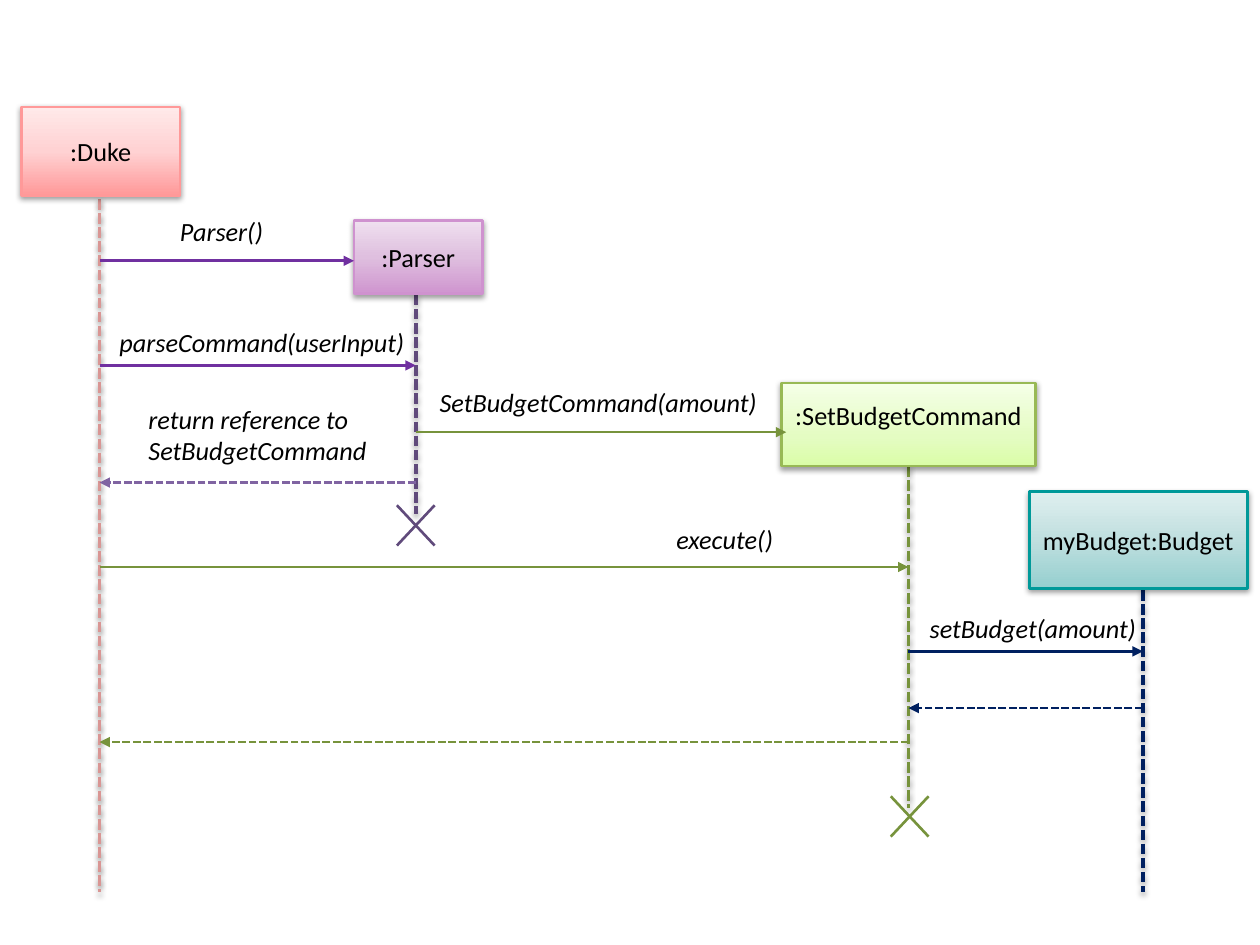
from pptx import Presentation
from pptx.dml.color import RGBColor
from pptx.enum.dml import MSO_LINE
from pptx.enum.shapes import MSO_CONNECTOR, MSO_SHAPE
from pptx.enum.text import MSO_ANCHOR, PP_ALIGN
from pptx.oxml import parse_xml
from pptx.oxml.ns import nsdecls
from pptx.util import Inches, Pt

RECT = MSO_SHAPE.RECTANGLE
LINE = MSO_CONNECTOR.STRAIGHT
DASH = MSO_LINE.SQUARE_DOT
TOP, MID = MSO_ANCHOR.TOP, MSO_ANCHOR.MIDDLE
LEFT, CENTER = PP_ALIGN.LEFT, PP_ALIGN.CENTER

THEME = {
    "font": "Calibri", "size": 15, "thin": 1.5, "thick": 2,
    "text": "000000", "rose": "D99694", "violet": "7030A0",
    "plum": "604A7B", "mauve": "8064A2", "green": "77933C", "navy": "002060",
    "duke": ("FF9999", [(0, "FF9999"), (50, "FFD2D3"), (100, "FFE9E9")]),
    "parser": ("CF92CF", [(0, "CF95CF"), (50, "DFBFDF"), (100, "EFE0EF")]),
    "command": ("98B955", [(0, "DAFDA7"), (35, "E4FCC2"), (100, "F5FFE7")]),
    "budget": ("009999", [(0, "95CFCF"), (50, "BFDFDF"), (100, "E0EFEF")]),
}

ACTORS = [
    ("duke", ":Duke", (0.17, 0.85, 1.26, 0.7), MID, 0.05),
    ("parser", ":Parser", (2.81, 1.75, 1.02, 0.58), MID, 0.05),
    ("command", ":SetBudgetCommand", (6.2, 3.04, 2.02, 0.66), TOP, 0.13),
    ("budget", "myBudget:Budget", (8.17, 3.9, 1.73, 0.77), MID, 0.05),
]
LIVES = {
    "duke": (0.79, 1.58, 7.08, "rose"),
    "parser": (3.3, 2.34, 4.08, "plum"),
    "command": (7.21, 3.7, 6.41, "green"),
    "budget": (9.07, 4.46, 7.08, "navy"),
}
CALLS = [
    ("duke", 2.81, 2.07, "violet"),
    ("duke", "parser", 2.9, "violet"),
    ("parser", 6.24, 3.43, "green"),
    ("duke", "command", 4.5, "green"),
    ("command", "budget", 5.17, "navy"),
]
REPLIES = [
    ("parser", "duke", 3.83, "mauve"),
    ("budget", "command", 5.62, "navy"),
    ("command", "duke", 5.89, "green"),
]
LABELS = [
    ("Parser()", (1.33, 1.66, 1.29, 0.35)),
    ("parseCommand(userInput)", (0.85, 2.54, 2.73, 0.35)),
    ("SetBudgetCommand(amount)", (3.39, 3.02, 2.73, 0.35)),
    ("return reference to SetBudgetCommand", (1.08, 3.15, 1.93, 0.61)),
    ("execute()", (5.27, 4.1, 0.97, 0.35)),
    ("setBudget(amount)", (7.28, 4.81, 1.93, 0.35)),
]
ENDS = [(3.3, 4.17, "plum"), (7.22, 6.48, "green")]
ARM = (0.15, 0.16)

deck = Presentation()
deck.slide_width, deck.slide_height = Inches(10), Inches(7.5)
slide = deck.slides.add_slide(deck.slide_layouts[6])
shapes = slide.shapes


def ink(code):
    return RGBColor.from_string(code)


def shade(shape, on):
    glow = (
        '<a:outerShdw blurRad="40000" dist="20000" dir="5400000" rotWithShape="0">'
        '<a:srgbClr val="000000"><a:alpha val="38000"/></a:srgbClr></a:outerShdw>'
    ) if on else ""
    shape._element.spPr.append(
        parse_xml(f'<a:effectLst {nsdecls("a")}>{glow}</a:effectLst>'))


def fade(shape, stops):
    marks = "".join(
        f'<a:gs pos="{pos * 1000}"><a:srgbClr val="{code}"/></a:gs>'
        for pos, code in stops)
    shape._element.spPr.insert(2, parse_xml(
        f'<a:gradFill {nsdecls("a")} rotWithShape="1"><a:gsLst>{marks}</a:gsLst>'
        '<a:lin ang="16200000" scaled="0"/></a:gradFill>'))


def draw(x1, y1, x2, y2, hue, width="thin", dash=False, head=False, glow=False):
    line = shapes.add_connector(LINE, *map(Inches, (x1, y1, x2, y2)))
    line.line.color.rgb = ink(THEME[hue])
    line.line.width = Pt(THEME[width])
    if dash:
        line.line.dash_style = DASH
    if head:
        line.line._get_or_add_ln().append(
            parse_xml(f'<a:tailEnd {nsdecls("a")} type="triangle"/>'))
    shade(line, glow)


def write(shape, text, align, italic):
    shape.text_frame.text = text
    para = shape.text_frame.paragraphs[0]
    para.alignment = align
    font = para.runs[0].font
    font.name, font.size = THEME["font"], Pt(THEME["size"])
    font.italic = italic
    font.color.rgb = ink(THEME["text"])


def reach(end):
    return LIVES[end][0] if end in LIVES else end


for x, top, low, hue in LIVES.values():
    draw(x, top, x, low, hue, "thick", dash=True, glow=True)

for key, name, spot, anchor, pad in ACTORS:
    edge, stops = THEME[key]
    box = shapes.add_shape(RECT, *map(Inches, spot))
    fade(box, stops)
    box.line.color.rgb = ink(edge)
    box.line.width = Pt(THEME["thin"])
    shade(box, True)
    frame = box.text_frame
    frame.word_wrap = False
    frame.vertical_anchor = anchor
    frame.margin_top = frame.margin_bottom = Inches(pad)
    write(box, name, CENTER, False)

for group, dash in ((CALLS, False), (REPLIES, True)):
    for start, end, y, hue in group:
        draw(reach(start), y, reach(end), y, hue, dash=dash, head=True)

for text, spot in LABELS:
    label = shapes.add_textbox(*map(Inches, spot))
    label.text_frame.word_wrap = True
    write(label, text, LEFT, True)

for x, y, hue in ENDS:
    dx, dy = ARM
    for side in (1, -1):
        draw(x - dx, y - side * dy, x + dx, y + side * dy, hue)

deck.save("out.pptx")
